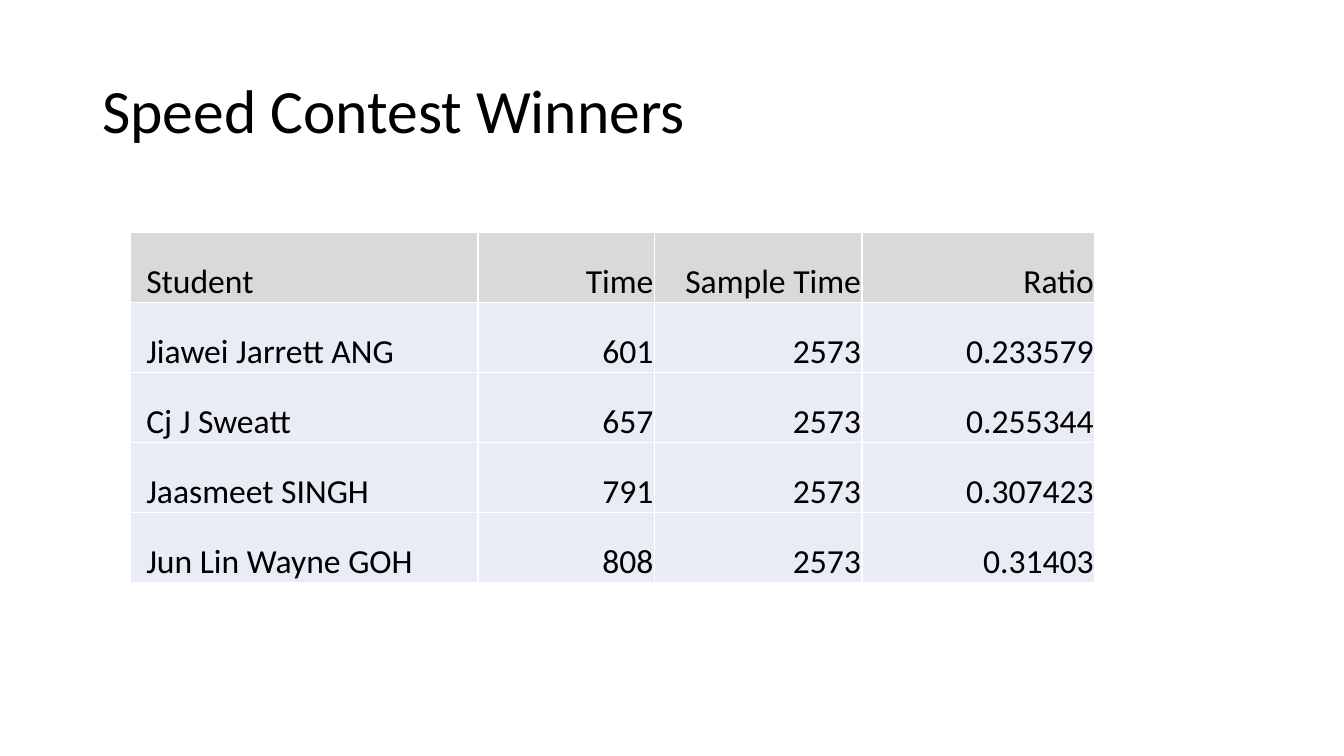
from lxml import etree
from pptx import Presentation
from pptx.dml.color import RGBColor
from pptx.enum.text import MSO_ANCHOR, PP_ALIGN
from pptx.oxml.ns import qn
from pptx.util import Pt

LEFT, RIGHT = PP_ALIGN.LEFT, PP_ALIGN.RIGHT
MIDDLE, BOTTOM = MSO_ANCHOR.MIDDLE, MSO_ANCHOR.BOTTOM
COLORS = {"text": "000000", "head": "D9D9D9", "body": "E9EBF5", "line": "FFFFFF"}
WIDTHS = [248.4, 126, 148.3, 166.3]
WINNERS = [
    ("Student", "Time", "Sample Time", "Ratio"),
    ("Jiawei Jarrett ANG", "601", "2573", "0.233579"),
    ("Cj J Sweatt", "657", "2573", "0.255344"),
    ("Jaasmeet SINGH", "791", "2573", "0.307423"),
    ("Jun Lin Wayne GOH", "808", "2573", "0.31403"),
]


def write(frame, text, size=24, align=LEFT, color="text", font="Calibri", space=1.0):
    para = frame.paragraphs[0]
    para.alignment = align
    para.line_spacing = space
    run = para.add_run()
    run.text = text
    run.font.size = Pt(size)
    run.font.name = font
    run.font.color.rgb = RGBColor.from_string(COLORS[color])


def edge(cell, color="line", width=1):
    """Draw all four borders; must run before the cell gets its fill."""
    props = cell._tc.get_or_add_tcPr()
    for side in "LRTB":
        line = etree.SubElement(props, qn(f"a:ln{side}"), w=str(Pt(width)))
        fill = etree.SubElement(line, qn("a:solidFill"))
        etree.SubElement(fill, qn("a:srgbClr"), val=COLORS[color])


class Board:
    def __init__(self, slide):
        self.slide = slide
        self.inset = 0.72
        self.indent = 11.5

    def title(self, text, left, top, width, height):
        box = self.slide.shapes.add_textbox(Pt(left), Pt(top), Pt(width), Pt(height))
        frame = box.text_frame
        frame.word_wrap = True
        frame.vertical_anchor = MIDDLE
        write(frame, text, size=44, space=0.9)

    def table(self, rows, widths, left, top, height):
        shape = self.slide.shapes.add_table(
            len(rows), len(widths), Pt(left), Pt(top), Pt(sum(widths)), Pt(height * len(rows)))
        table = shape.table
        table.first_row = table.horz_banding = False
        for col, width in zip(table.columns, widths):
            col.width = Pt(width)
        for r, row in enumerate(rows):
            table.rows[r].height = Pt(height)
            for c, text in enumerate(row):
                self.cell(table.cell(r, c), text, r == 0, c == 0)

    def cell(self, cell, text, head, first):
        edge(cell)
        cell.fill.solid()
        cell.fill.fore_color.rgb = RGBColor.from_string(COLORS["head" if head else "body"])
        cell.vertical_anchor = BOTTOM
        cell.margin_left = Pt(self.indent if first else self.inset)
        cell.margin_right = cell.margin_top = Pt(self.inset)
        cell.margin_bottom = Pt(0)
        write(cell.text_frame, text, align=LEFT if first else RIGHT)


def main():
    deck = Presentation()
    deck.slide_width, deck.slide_height = Pt(960), Pt(540)
    board = Board(deck.slides.add_slide(deck.slide_layouts[6]))
    board.title("Speed Contest Winners", 66, 28.75, 828, 104.4)
    board.table(WINNERS, WIDTHS, 93, 165.8, 50.1)
    deck.save("out.pptx")


if __name__ == "__main__":
    main()
